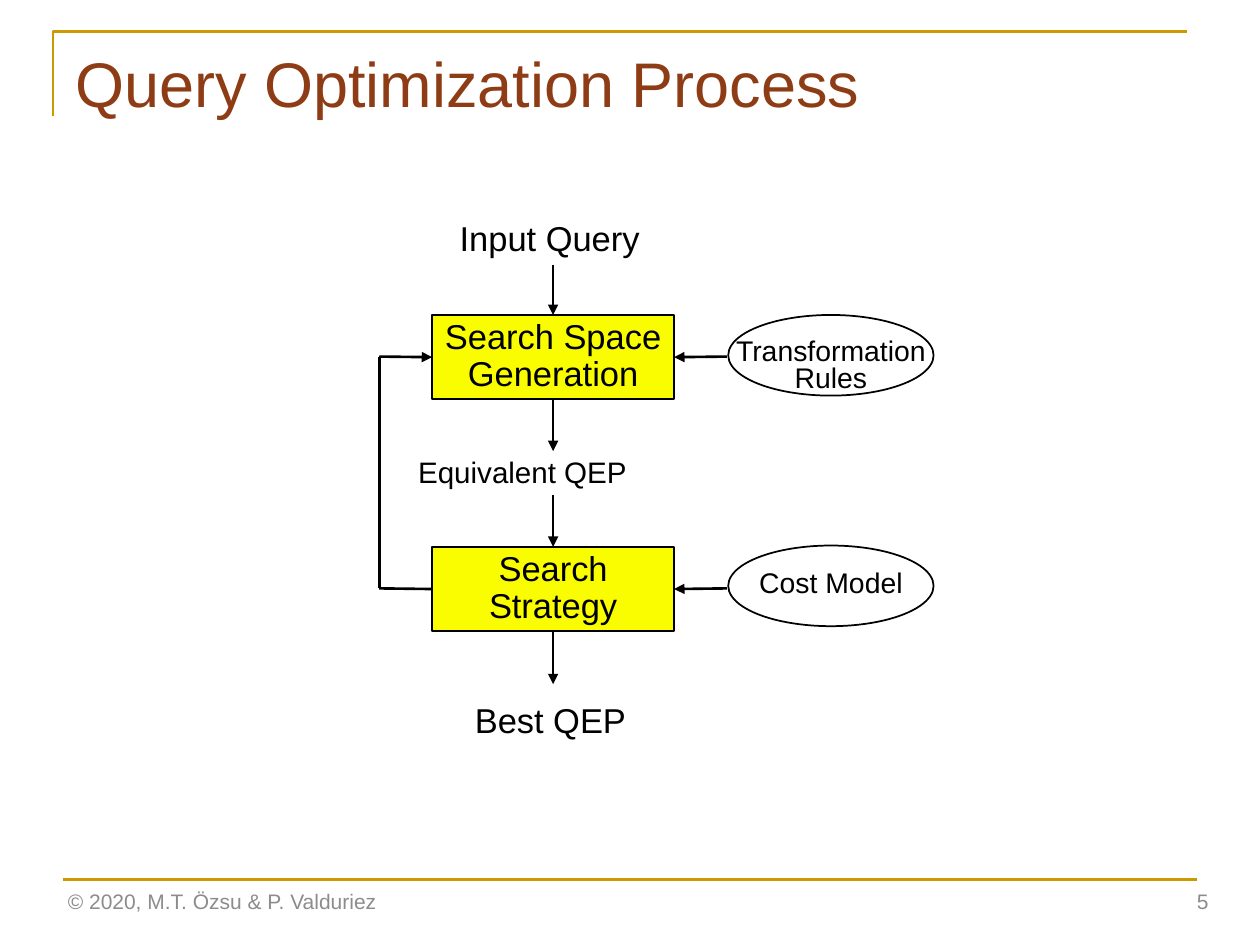
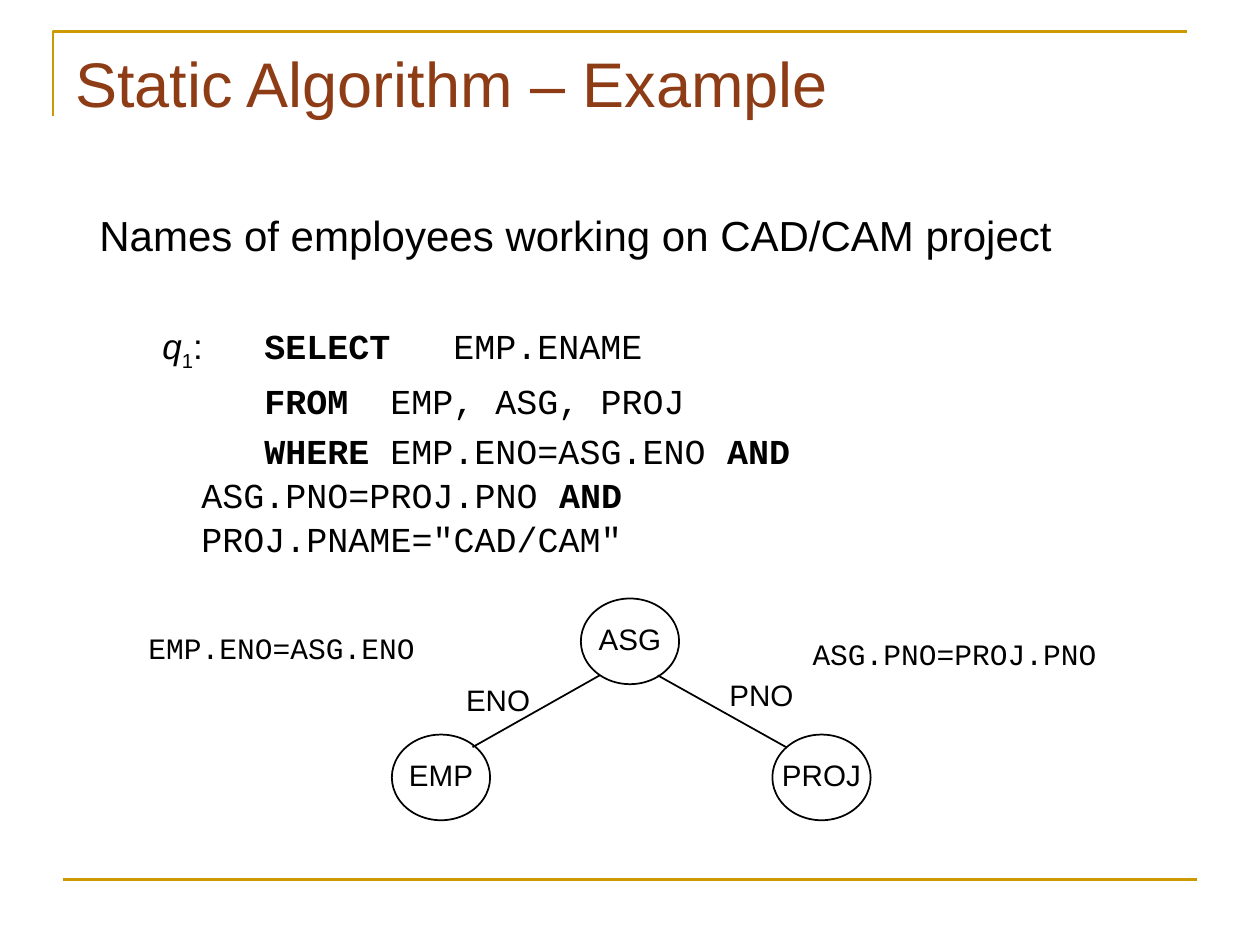
from pptx import Presentation
from pptx.dml.color import RGBColor
from pptx.enum.shapes import MSO_CONNECTOR, MSO_SHAPE
from pptx.enum.text import MSO_ANCHOR, MSO_AUTO_SIZE, PP_ALIGN
from pptx.oxml.ns import qn
from pptx.util import Inches, Pt
from lxml import etree

GOLD = RGBColor(0xCC, 0x99, 0x00)
BROWN = RGBColor(0x8D, 0x3C, 0x15)
BLACK = RGBColor(0x00, 0x00, 0x00)
YELLOW = RGBColor(0xFA, 0xFD, 0x00)
GRAY = RGBColor(0x8C, 0x8C, 0x8C)

RECTANGLE, ELLIPSE = MSO_SHAPE.RECTANGLE, MSO_SHAPE.OVAL
STRAIGHT = MSO_CONNECTOR.STRAIGHT
LEFT, CENTER, RIGHT = PP_ALIGN.LEFT, PP_ALIGN.CENTER, PP_ALIGN.RIGHT
TOP, MIDDLE = MSO_ANCHOR.TOP, MSO_ANCHOR.MIDDLE
GROW = MSO_AUTO_SIZE.SHAPE_TO_FIT_TEXT
SITE_TOP, SITE_LEFT, SITE_BOTTOM, SITE_RIGHT = range(4)

SANS, MONO = "Arial", "Courier New"
STEP_SIZE, RULE_SIZE, LABEL_SIZE = 19.7, 16.2, 16.9


class SlideWriter:
    def __init__(self, deck):
        self.deck = deck
        self.page = None

    def new_page(self, title):
        self.page = self.deck.slides.add_slide(self.deck.slide_layouts[6])
        outline = self.page.shapes.build_freeform(Inches(0.42), Inches(0.92))
        corners = [(0.42, 0.25), (9.42, 0.25)]
        outline.add_line_segments([(Inches(x), Inches(y)) for x, y in corners], close=False)
        bracket = outline.convert_to_shape()
        bracket.shadow.inherit = False
        bracket.fill.background()
        self.stroke(bracket.line, GOLD, 1.5)
        self.line((0.5, 6.98), (9.5, 6.98), color=GOLD)
        self.text((0.5, 0.3, 9, 1.25), [title], size=36, color=BROWN, wrap=True)

    def footer(self, credit, number):
        style = {"size": 12, "color": GRAY, "anchor": MIDDLE, "wrap": True}
        self.text((0.44, 6.95, 3.38, 0.4), [credit], **style)
        self.text((7.44, 6.95, 2.25, 0.4), [number], align=RIGHT, **style)

    def stroke(self, line, color, width):
        line.color.rgb = color
        line.width = Pt(width)

    def add_span(self, para, text, size, color=BLACK, **formats):
        span = para.add_run()
        span.text = text
        span.font.color.rgb = color
        for name, value in {"size": Pt(size), "name": SANS, **formats}.items():
            setattr(span.font, name, value)
        return span

    def fill_lines(self, frame, lines, size, align=LEFT, spacing=1.0, color=BLACK, font=SANS):
        for index, text in enumerate(lines):
            para = frame.add_paragraph() if index else frame.paragraphs[0]
            para.alignment = align
            para.line_spacing = spacing
            self.add_span(para, text, size, color, name=font)

    def text(self, place, lines, size, wrap=False, anchor=TOP, **style):
        box = self.page.shapes.add_textbox(*map(Inches, place))
        frame = box.text_frame
        frame.word_wrap = wrap
        frame.vertical_anchor = anchor
        if not wrap:
            frame.auto_size = GROW
        self.fill_lines(frame, lines, size, **style)
        return frame

    def node(self, kind, place, lines, size, fill=None, spacing=1.0, drop=0):
        shape = self.page.shapes.add_shape(kind, *map(Inches, place))
        shape.shadow.inherit = False
        if fill is None:
            shape.fill.background()
        else:
            shape.fill.solid()
            shape.fill.fore_color.rgb = fill
        self.stroke(shape.line, BLACK, 1)
        frame = shape.text_frame
        frame.word_wrap = False
        frame.vertical_anchor = MIDDLE
        frame.margin_left = frame.margin_right = 0
        frame.margin_top = Inches(max(drop, 0))
        frame.margin_bottom = Inches(max(-drop, 0))
        self.fill_lines(frame, lines, size, align=CENTER, spacing=spacing)
        return shape

    def line(self, start, end, color=BLACK, width=1.5, arrow=False, source=None, target=None):
        link = self.page.shapes.add_connector(STRAIGHT, *map(Inches, (*start, *end)))
        self.stroke(link.line, color, width)
        if source:
            link.begin_connect(*source)
        if target:
            link.end_connect(*target)
        if arrow:
            head = etree.SubElement(link.line._get_or_add_ln(), qn("a:tailEnd"))
            head.set("type", "triangle")
        etree.SubElement(link._element.spPr, qn("a:effectLst"))

    def query(self, place, heading, clauses):
        frame = self.text(place, [heading], size=24, wrap=True, spacing=1.05)
        for index, spans in enumerate(clauses):
            para = frame.add_paragraph()
            para.line_spacing = 1.05
            para.space_before = Pt(3 if index else 36)
            properties = para._p.get_or_add_pPr()
            properties.set("marL", str(Inches(0.81)))
            properties.set("indent", str(Inches(-0.31)))
            for text, formats in spans:
                if text == "\n":
                    para.add_line_break()
                    continue
                formats = dict(formats)
                baseline = formats.pop("baseline", None)
                span = self.add_span(para, text, 20, **formats)
                if baseline:
                    span._r.get_or_add_rPr().set("baseline", baseline)


def optimization_process(writer):
    writer.new_page("Query Optimization Process")
    axis, loop_x, upper_y, lower_y = 4.39, 3.01, 2.83, 4.67
    step = {"size": STEP_SIZE, "fill": YELLOW, "spacing": 0.9}
    rule = {"size": RULE_SIZE, "spacing": 0.8}
    generation = writer.node(
        RECTANGLE, (3.43, 2.5, 1.92, 0.67), ["Search Space", "Generation"], **step)
    strategy = writer.node(
        RECTANGLE, (3.43, 4.34, 1.92, 0.67), ["Search", "Strategy"], **step)
    writer.node(ELLIPSE, (5.78, 2.5, 1.63, 0.64), ["Transformation", "Rules"], drop=0.18, **rule)
    writer.node(ELLIPSE, (5.78, 4.33, 1.63, 0.64), ["Cost Model"], **rule)

    writer.text((3.55, 1.67, 1.65, 0.43), ["Input Query"], STEP_SIZE)
    writer.text((3.22, 3.55, 1.87, 0.38), ["Equivalent QEP"], LABEL_SIZE)
    writer.text((3.67, 5.5, 1.42, 0.43), ["Best QEP"], STEP_SIZE)

    for shape, entry, top, bottom, leave, y in (
            (generation, 2.1, 2.5, 3.17, 3.58, upper_y),
            (strategy, 3.93, 4.34, 5.01, 5.43, lower_y)):
        writer.line((axis, entry), (axis, top), arrow=True, target=(shape, SITE_TOP))
        writer.line((axis, bottom), (axis, leave), arrow=True, source=(shape, SITE_BOTTOM))
        writer.line((5.77, y), (5.35, y), arrow=True, target=(shape, SITE_RIGHT))

    writer.line((3.43, lower_y), (loop_x, lower_y), source=(strategy, SITE_LEFT))
    writer.line((loop_x, lower_y), (loop_x, upper_y))
    writer.line((loop_x, upper_y), (3.43, upper_y), arrow=True, target=(generation, SITE_LEFT))
    writer.footer("© 2020, M.T. Özsu & P. Valduriez", "5")


def static_example(writer):
    writer.new_page("Static Algorithm – Example")
    keyword = {"name": MONO, "bold": True}
    code = {"name": MONO}
    writer.query((0.69, 1.59, 7.83, 2.76), "Names of employees working on CAD/CAM project", [
        [("q", {"italic": True}), ("1", {"baseline": "-25000"}), (":\t", {}),
         ("SELECT", keyword), ("\tEMP.ENAME", code)],
        [("\t\tFROM\t", keyword), ("EMP, ASG, PROJ", code)],
        [("\t\tWHERE\t", keyword), ("EMP.ENO=ASG.ENO ", code), ("AND", keyword), ("\n", {}),
         ("ASG.PNO=PROJ.PNO ", code), ("AND", keyword), ("\n", {}),
         ('PROJ.PNAME="CAD/CAM"', code)],
    ])

    for name, left, top in (("ASG", 4.61, 4.75), ("EMP", 3.11, 5.83), ("PROJ", 6.13, 5.83)):
        writer.node(ELLIPSE, (left, top, 0.78, 0.68), [name], LABEL_SIZE, drop=-0.05)
    for start, end in (((3.75, 5.93), (4.76, 5.36)), ((6.24, 5.93), (5.22, 5.36))):
        writer.line(start, end, width=1)
    for label, place, font in (
            ("PNO", (5.69, 5.32, 0.71, 0.38), SANS),
            ("ENO", (3.6, 5.36, 0.71, 0.38), SANS),
            ("EMP.ENO=ASG.ENO", (1.08, 4.95, 2.33, 0.38), MONO),
            ("ASG.PNO=PROJ.PNO", (6.35, 5, 2.48, 0.38), MONO)):
        writer.text(place, [label], LABEL_SIZE, font=font)


def main():
    deck = Presentation()
    deck.slide_width, deck.slide_height = Inches(10), Inches(7.5)
    writer = SlideWriter(deck)
    optimization_process(writer)
    static_example(writer)
    deck.save("out.pptx")


if __name__ == "__main__":
    main()
